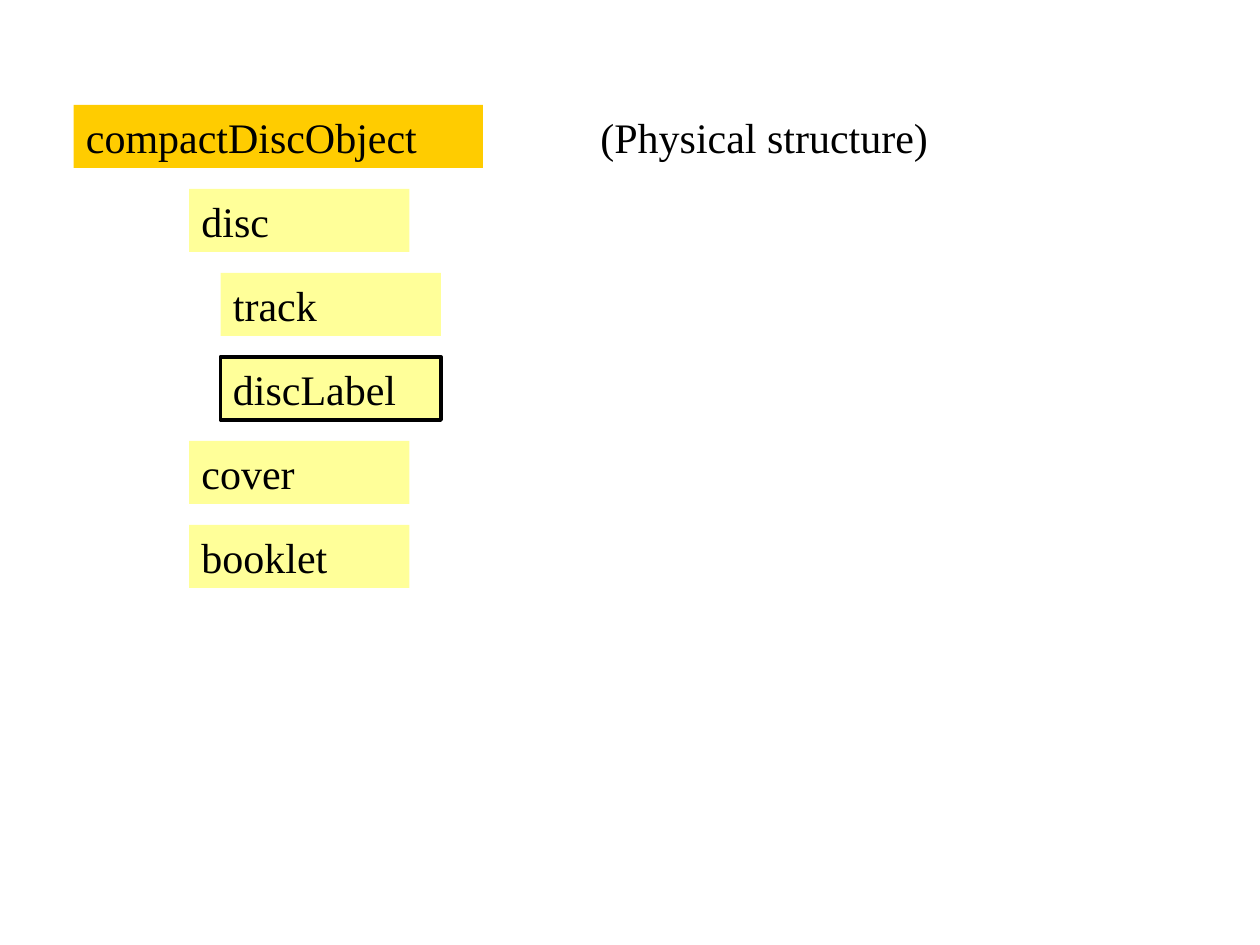
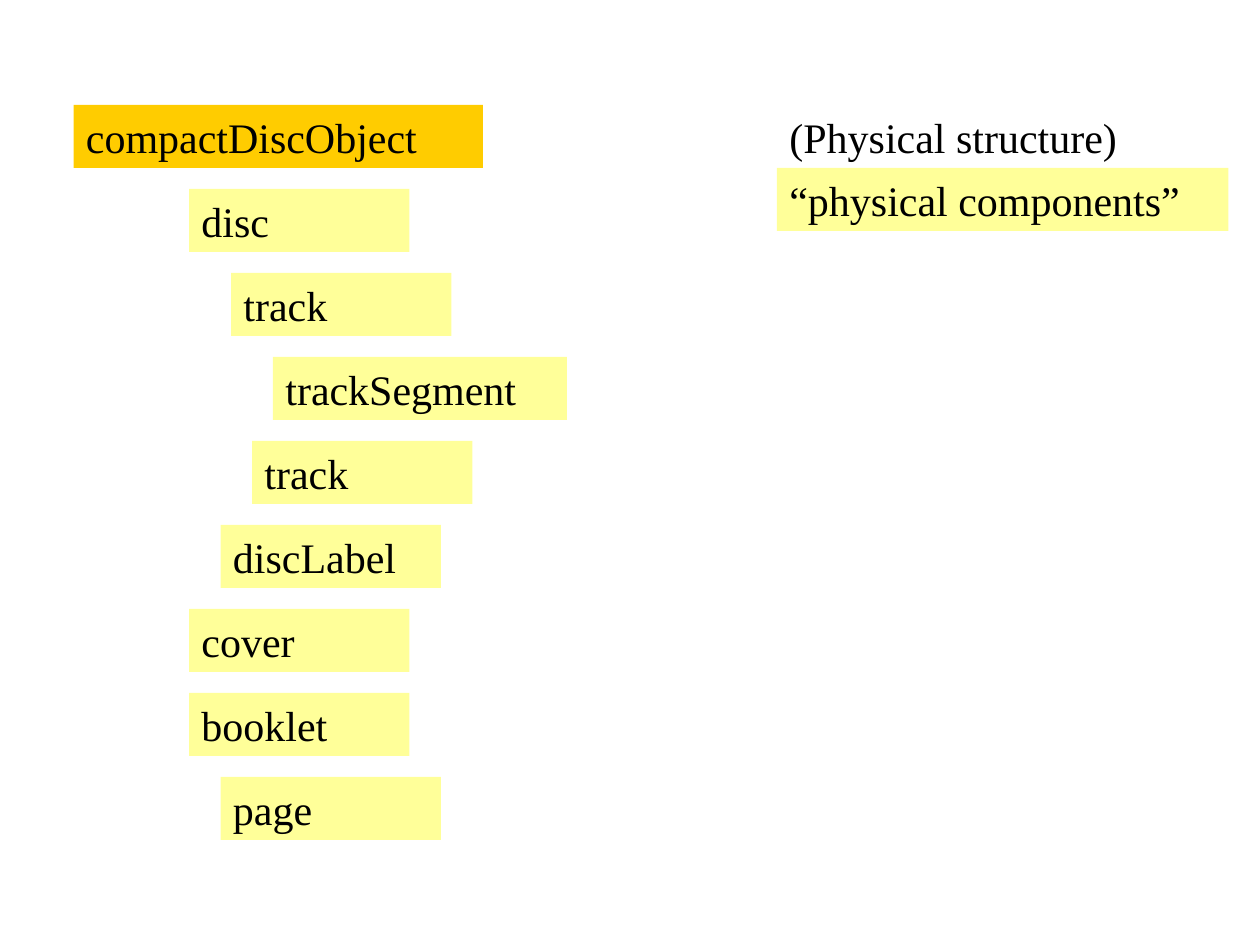
from pptx import Presentation
from pptx.dml.color import RGBColor
from pptx.enum.shapes import MSO_SHAPE as SHAPE
from pptx.enum.text import MSO_ANCHOR as ANCHOR, PP_ALIGN as ALIGN
from pptx.util import Inches, Pt

ROOT, PART, PAPER, INK = "FFCC00", "FFFF99", "FFFFFF", "000000"
FRAME = {
    "word_wrap": True, "vertical_anchor": ANCHOR.TOP,
    "margin_left": Inches(0.1), "margin_right": Inches(0.1),
    "margin_top": Inches(0.05), "margin_bottom": Inches(0.05),
}
FONT = {"name": "Times New Roman", "size": Pt(24)}

# The grid has 120 columns and 90 lines; a tree row takes 8 lines, its box 6.
FIRST_LINE, ROW_STEP, BOX_LINES = 10, 8, 6
ROOT_COL, ROOT_COLS, PART_COLS, SEGMENT_COLS = 7, 39, 21, 28

# Tree rows from top to bottom: text, left column, width in columns
ROOT_ROW = ("compactDiscObject", ROOT_COL, ROOT_COLS)
SLIDES = [
    {
        "tree": [
            ROOT_ROW,
            ("disc", 18, PART_COLS),
            ("track", 21, PART_COLS),
            ("discLabel", 21, PART_COLS),
            ("cover", 18, PART_COLS),
            ("booklet", 18, PART_COLS),
        ],
        "outlined": "discLabel",
        "key_col": 56,
        "key": [("(Physical structure)", ROOT_COLS, PAPER)],
    },
    {
        "tree": [
            ROOT_ROW,
            ("disc", 18, PART_COLS),
            ("track", 22, PART_COLS),
            ("trackSegment", 26, SEGMENT_COLS),
            ("track", 24, PART_COLS),
            ("discLabel", 21, PART_COLS),
            ("cover", 18, PART_COLS),
            ("booklet", 18, PART_COLS),
            ("page", 21, PART_COLS),
        ],
        "outlined": None,
        "key_col": 74,
        "key": [
            ("(Physical structure)", ROOT_COLS, PAPER),
            ("“physical components”", 43, PART),
        ],
    },
]

prs = Presentation()
prs.slide_width, prs.slide_height = Inches(10), Inches(7.5)
COL, LINE = prs.slide_width / 120, prs.slide_height / 90


def rgb(value):
    return RGBColor.from_string(value)


def add_box(s, text, col, line, cols, fill):
    """Add a filled, left-aligned label at a grid position and return it."""
    sp = s.shapes.add_shape(SHAPE.RECTANGLE, round(col * COL), round(line * LINE),
                            round(cols * COL), round(BOX_LINES * LINE))
    sp.shadow.inherit = False
    sp.fill.solid()
    sp.fill.fore_color.rgb = rgb(fill)
    sp.line.fill.background()
    tf = sp.text_frame
    for name, value in FRAME.items():
        setattr(tf, name, value)
    p = tf.paragraphs[0]
    p.alignment = ALIGN.LEFT
    r = p.add_run()
    r.text = text
    for name, value in FONT.items():
        setattr(r.font, name, value)
    r.font.color.rgb = rgb(INK)
    return sp


for content in SLIDES:
    s = prs.slides.add_slide(prs.slide_layouts[6])
    for row, (text, col, cols) in enumerate(content["tree"]):
        fill = PART if row else ROOT
        sp = add_box(s, text, col, FIRST_LINE + row * ROW_STEP, cols, fill)
        if text == content["outlined"]:
            sp.line.color.rgb = rgb(INK)
            sp.line.width = Pt(2.25)
    for row, (text, cols, fill) in enumerate(content["key"]):
        add_box(s, text, content["key_col"], FIRST_LINE + row * BOX_LINES, cols, fill)

prs.save("out.pptx")
